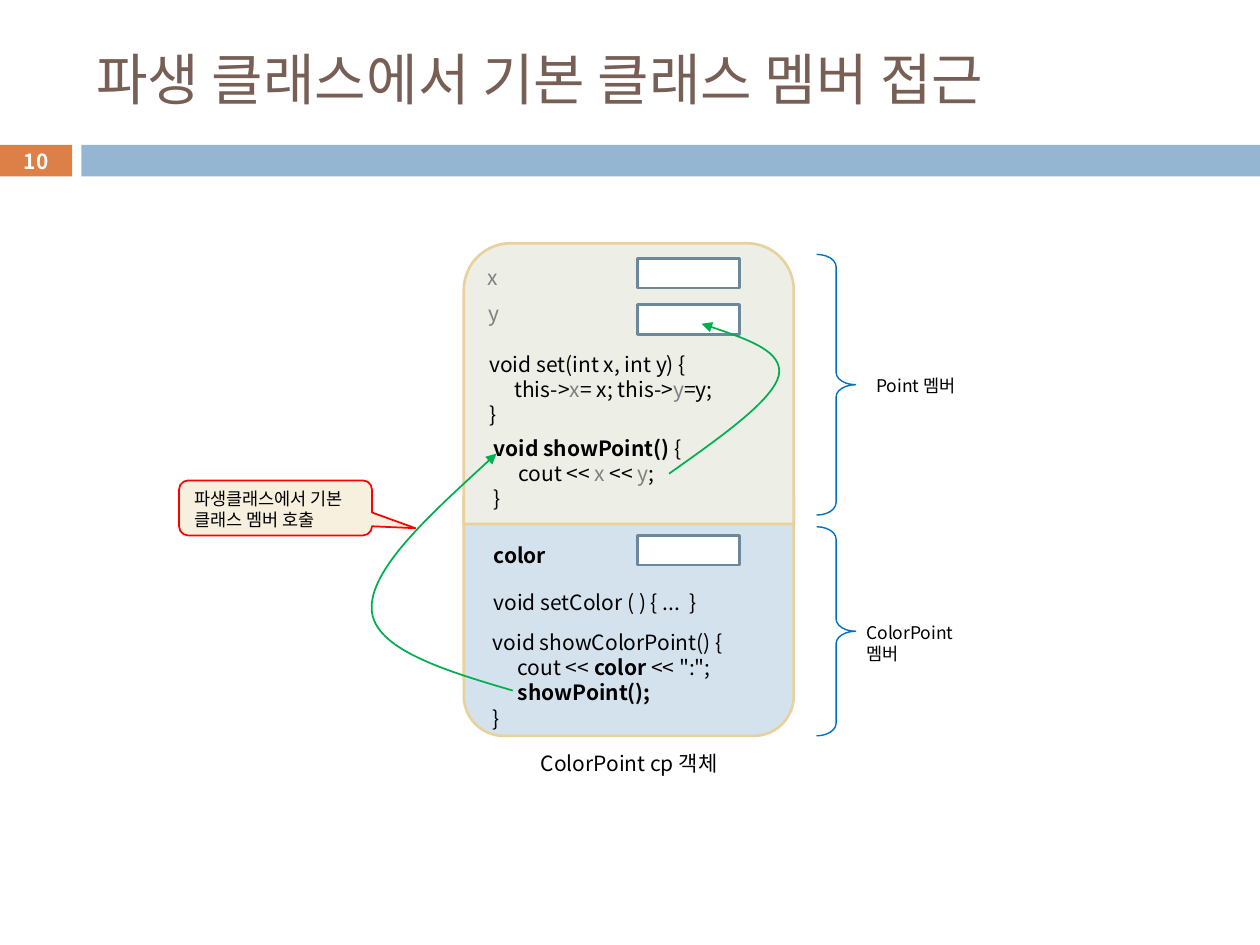
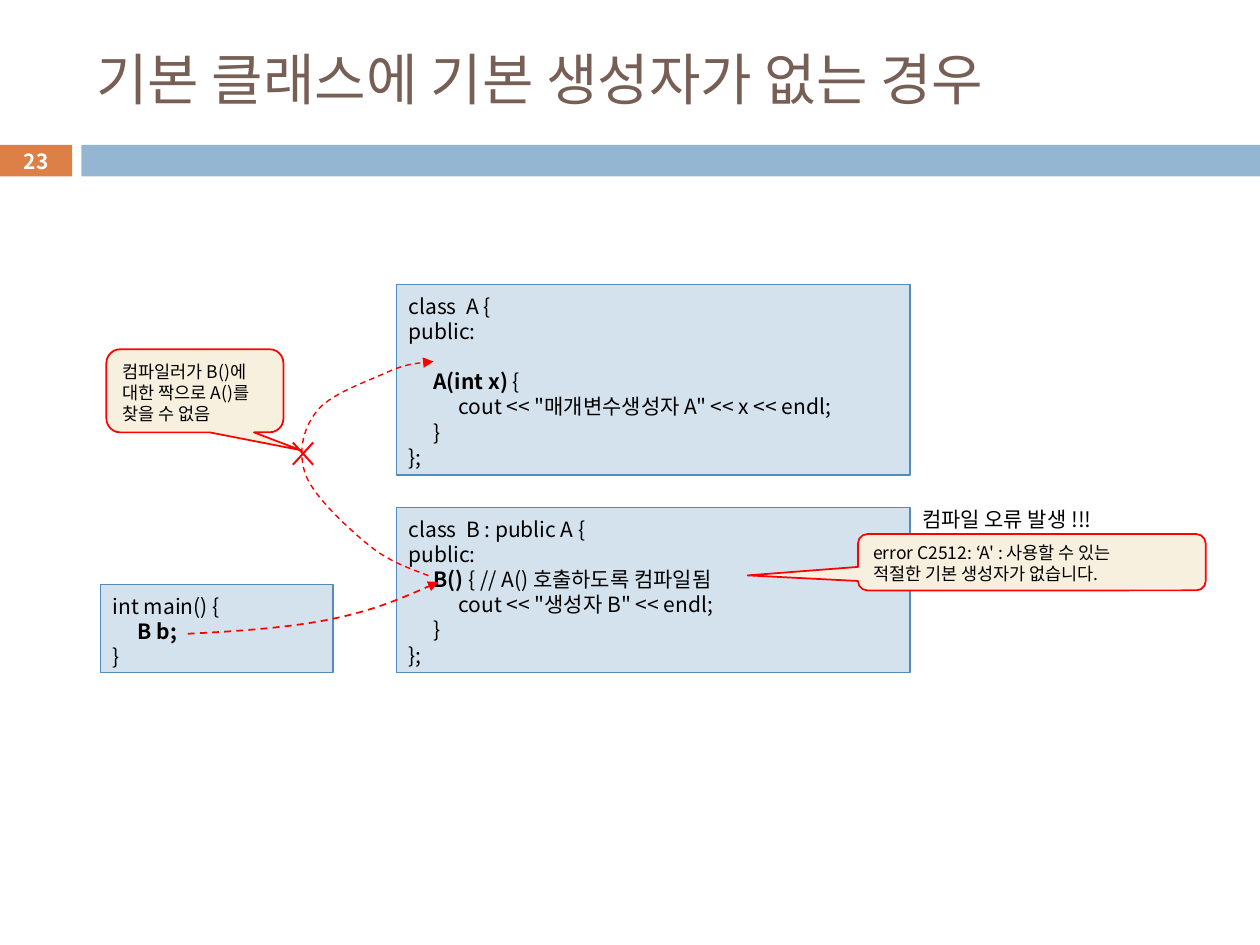
from lxml.etree import SubElement
from pptx import Presentation
from pptx.dml.color import RGBColor
from pptx.enum.dml import MSO_LINE
from pptx.enum.shapes import MSO_SHAPE as SHAPE
from pptx.enum.text import MSO_ANCHOR as ANCHOR, PP_ALIGN as ALIGN
from pptx.oxml.ns import qn
from pptx.util import Pt

FONT = "Noto Sans CJK KR"
BLACK = RGBColor(0x00, 0x00, 0x00)
WHITE = RGBColor(0xFF, 0xFF, 0xFF)
GRAY = RGBColor(0x80, 0x80, 0x80)
BROWN = RGBColor(0x77, 0x5F, 0x55)
ORANGE = RGBColor(0xDD, 0x80, 0x47)
BAND_BLUE = RGBColor(0x94, 0xB6, 0xD2)
PALE_BLUE = RGBColor(0xD4, 0xE2, 0xED)
PALE_GREEN = RGBColor(0xED, 0xEE, 0xE6)
CREAM = RGBColor(0xF7, 0xF0, 0xDE)
SAND = RGBColor(0xE8, 0xD1, 0x9D)
FIELD_LINE = RGBColor(0x6D, 0x87, 0x9B)
CODE_LINE = RGBColor(0x55, 0x8B, 0xB8)
BRACE_BLUE = RGBColor(0x00, 0x70, 0xC0)
GREEN = RGBColor(0x00, 0xB0, 0x50)
RED = RGBColor(0xFF, 0x00, 0x00)
INDENT = 14.2
LINE_PITCH = 1.2
BOLD = "bold"


def write_text(shape, lines, size=12, color=BLACK, anchor=ANCHOR.TOP,
               align=ALIGN.LEFT, wrap=True, fixed_pitch=True):
    """Each line is (level, run, ...); a run is a string or (string, BOLD or colour)."""
    frame = shape.text_frame
    frame.word_wrap = wrap
    frame.vertical_anchor = anchor
    frame.margin_top = Pt(5 if fixed_pitch else 3.6)
    for number, (level, *runs) in enumerate(lines):
        paragraph = frame.add_paragraph() if number else frame.paragraphs[0]
        paragraph.alignment = align
        if fixed_pitch:
            paragraph.line_spacing = Pt(LINE_PITCH * size)
        if level:
            paragraph._p.get_or_add_pPr().set("marL", str(Pt(INDENT * level)))
        for item in runs:
            text, style = (item, None) if isinstance(item, str) else item
            run = paragraph.add_run()
            run.text = text
            run.font.name = FONT
            run.font.size = Pt(size)
            run.font.bold = style == BOLD
            run.font.color.rgb = style if isinstance(style, RGBColor) else color
            SubElement(run.font._element, qn("a:ea")).set("typeface", FONT)


def add_preset(slide, kind, box, fill=None, line=None, width=1):
    shape = slide.shapes.add_shape(kind, *map(Pt, box))
    shape.shadow.inherit = False
    if fill is None:
        shape.fill.background()
    else:
        shape.fill.solid()
        shape.fill.fore_color.rgb = fill
    if line is None:
        shape.line.fill.background()
    else:
        shape.line.color.rgb = line
        shape.line.width = Pt(width)
    return shape


presentation = Presentation()
presentation.slide_width = Pt(720)
presentation.slide_height = Pt(540)

# Title, bands and slide number
slides = []
for title, number in [("파생 클래스에서 기본 클래스 멤버 접근", "10"),
                      ("기본 클래스에 기본 생성자가 없는 경우", "23")]:
    slide = presentation.slides.add_slide(presentation.slide_layouts[6])
    slides.append(slide)
    number_band = add_preset(slide, SHAPE.RECTANGLE, (0, 82.8, 41.2, 18), ORANGE)
    add_preset(slide, SHAPE.RECTANGLE, (46.5, 82.8, 673.5, 18), BAND_BLUE)
    title_box = slide.shapes.add_textbox(Pt(48), Pt(18), Pt(642), Pt(53.5))
    write_text(title_box, [(0, title)], 32, BROWN, ANCHOR.MIDDLE, fixed_pitch=False)
    write_text(number_band, [(0, (number, BOLD))], 11.9, WHITE, ANCHOR.MIDDLE,
               ALIGN.CENTER, wrap=False, fixed_pitch=False)
object_slide, error_slide = slides

# Object made of a derived part below a base part
derived_part = add_preset(object_slide, SHAPE.ROUND_2_SAME_RECTANGLE,
                          (265, 283.7, 188.6, 136.8), PALE_BLUE, SAND, 1.5)
derived_part.rotation = 180
add_preset(object_slide, SHAPE.ROUND_2_SAME_RECTANGLE,
           (265, 139, 188.6, 160.4), PALE_GREEN, SAND, 1.5)
for top in (147.6, 174.2, 306):
    add_preset(object_slide, SHAPE.RECTANGLE, (364.3, top, 58.3, 17),
               WHITE, FIELD_LINE, 1.5)
for top, height in [(145.4, 149), (301, 119.5)]:
    brace = add_preset(object_slide, SHAPE.RIGHT_BRACE, (466.6, top, 22.3, height),
                       None, BRACE_BLUE, 0.79)
    brace.adjustments[0] = 0.318

# Member code and labels: slide, left, top, width, size, lines
for slide, left, top, width, size, lines in [
    (object_slide, 271.4, 146.2, 55, 12, [(0, ("x", GRAY))]),
    (object_slide, 272.2, 166.7, 54, 12, [(0, ("y", GRAY))]),
    (object_slide, 272.6, 195.8, 182, 12, [
        (0, "void set(int x, int y) {"),
        (1, "this->", ("x", GRAY), "= x; this->", ("y", GRAY), "=y;"),
        (0, "}")]),
    (object_slide, 275, 243.9, 190, 12, [
        (0, ("void showPoint() ", BOLD), "{"),
        (1, "cout << ", ("x", GRAY), " << ", ("y", GRAY), ";"),
        (0, "}")]),
    (object_slide, 275, 305, 96, 12, [(0, ("color", BOLD))]),
    (object_slide, 275, 332, 178, 12, [(0, "void setColor ( ) { ...  }")]),
    (object_slide, 274.6, 354.8, 178, 12, [
        (0, "void showColorPoint() {"),
        (1, "cout << ", ("color", BOLD), ' << ":";'),
        (1, ("showPoint();", BOLD)),
        (0, "}")]),
    (object_slide, 302, 424, 125, 12, [(0, "ColorPoint cp 객체")]),
    (object_slide, 493.6, 209.5, 62, 10, [(0, "Point 멤버")]),
    (object_slide, 488, 350.6, 86, 10, [(0, "ColorPoint"), (0, "멤버")]),
    (error_slide, 519.8, 284.4, 123, 12, [(0, "컴파일 오류 발생 !!!")]),
]:
    height = 7.2 + LINE_PITCH * size * len(lines)
    label = slide.shapes.add_textbox(Pt(left), Pt(top), Pt(width), Pt(height))
    write_text(label, lines, size, wrap=False)

# Class and main code boxes
code_boxes = []
for box, lines in [
    ((226.5, 162.5, 293.5, 109), [
        (0, "class  A {"),
        (0, "public:"),
        (1, ("A(int x) ", BOLD), "{"),
        (2, 'cout << "매개변수생성자 A" << x << endl;'),
        (1, "}"),
        (0, "};")]),
    ((226.5, 290, 293.5, 94.5), [
        (0, "class  B : public A {"),
        (0, "public:"),
        (1, ("B() ", BOLD), "{ // A() 호출하도록 컴파일됨"),
        (2, 'cout << "생성자 B" << endl;'),
        (1, "}"),
        (0, "};")]),
    ((57.4, 334, 133, 50.5), [
        (0, "int main() {"), (1, ("B b;", BOLD)), (0, "}")]),
]:
    code_box = add_preset(error_slide, SHAPE.RECTANGLE, box, PALE_BLUE, CODE_LINE, 0.75)
    write_text(code_box, lines)
    code_boxes.append(code_box)
code_boxes[0].text_frame.paragraphs[2].space_before = Pt(LINE_PITCH * 12)

# Callouts: slide, box, pointer tip, lines
for slide, box, tip, lines in [
    (object_slide, (102.3, 274.5, 110.3, 31.5), (0.725, 0.368),
     ["파생클래스에서 기본", "클래스 멤버 호출"]),
    (error_slide, (60.8, 199.6, 101.2, 47.5), (0.597, 0.714),
     ["컴파일러가 B()에", "대한 짝으로 A()를", "찾을 수 없음"]),
    (error_slide, (490.3, 305.2, 198.7, 32.2), (-0.817, 0.234),
     ["error C2512: ‘A' : 사용할 수 있는", "적절한 기본 생성자가 없습니다."]),
]:
    callout = add_preset(slide, SHAPE.ROUNDED_RECTANGULAR_CALLOUT, box, CREAM, RED)
    callout.adjustments[0], callout.adjustments[1] = tip
    write_text(callout, [(0, line) for line in lines], 10, anchor=ANCHOR.MIDDLE, wrap=False)

# Cross where the constructor call fails
cross = add_preset(error_slide, SHAPE.MATH_MULTIPLY, (162, 247, 22.3, 24.5), RED)
cross.adjustments[0] = 0.05

# Curved call arrows: start point, then three Bézier points per segment
for slide, color, width, dashed, points in [
    (object_slide, GREEN, 1, False, [
        (293, 394.6), (253.4, 383), (213.8, 370.8), (212.4, 348.5),
        (211, 325.4), (247.7, 292.3), (283.7, 259.2)]),
    (object_slide, GREEN, 1, False, [
        (382.3, 270.7), (411.8, 249.8), (441.4, 229), (445, 214.6),
        (447.8, 200.9), (424.8, 193), (401, 185)]),
    (error_slide, RED, 0.79, True, [
        (244.8, 329), (234, 324.7), (222.5, 321.1), (211, 311.8),
        (199.4, 302.4), (180, 284.4), (175, 272.2),
        (169.9, 259.2), (172.8, 245.5), (180.7, 235.4),
        (187.9, 225.4), (209.5, 218.2), (220.3, 213.1),
        (231.8, 208.1), (239.8, 207.4), (247.7, 206.6)]),
    (error_slide, RED, 1, True, [
        (107.3, 362.2), (136.8, 360.7), (167, 358.6), (190.8, 353.5),
        (214.6, 348.5), (232.6, 340.6), (250.6, 332.6)]),
]:
    start, *rest = [(Pt(x), Pt(y)) for x, y in points]
    builder = slide.shapes.build_freeform(*start)
    builder.add_line_segments(rest, close=False)
    arrow = builder.convert_to_shape()
    arrow.shadow.inherit = False
    arrow.fill.background()
    arrow.line.color.rgb = color
    arrow.line.width = Pt(width)
    if dashed:
        arrow.line.dash_style = MSO_LINE.DASH
    SubElement(arrow._element.spPr.find(qn("a:ln")), qn("a:tailEnd")).set("type", "triangle")
    outline = next(arrow._element.iter(qn("a:path")))
    segments = list(outline)[1:]
    for first in range(0, len(segments), 3):
        curve = SubElement(outline, qn("a:cubicBezTo"))
        for segment in segments[first:first + 3]:
            curve.append(segment[0])
            outline.remove(segment)

presentation.save("out.pptx")
